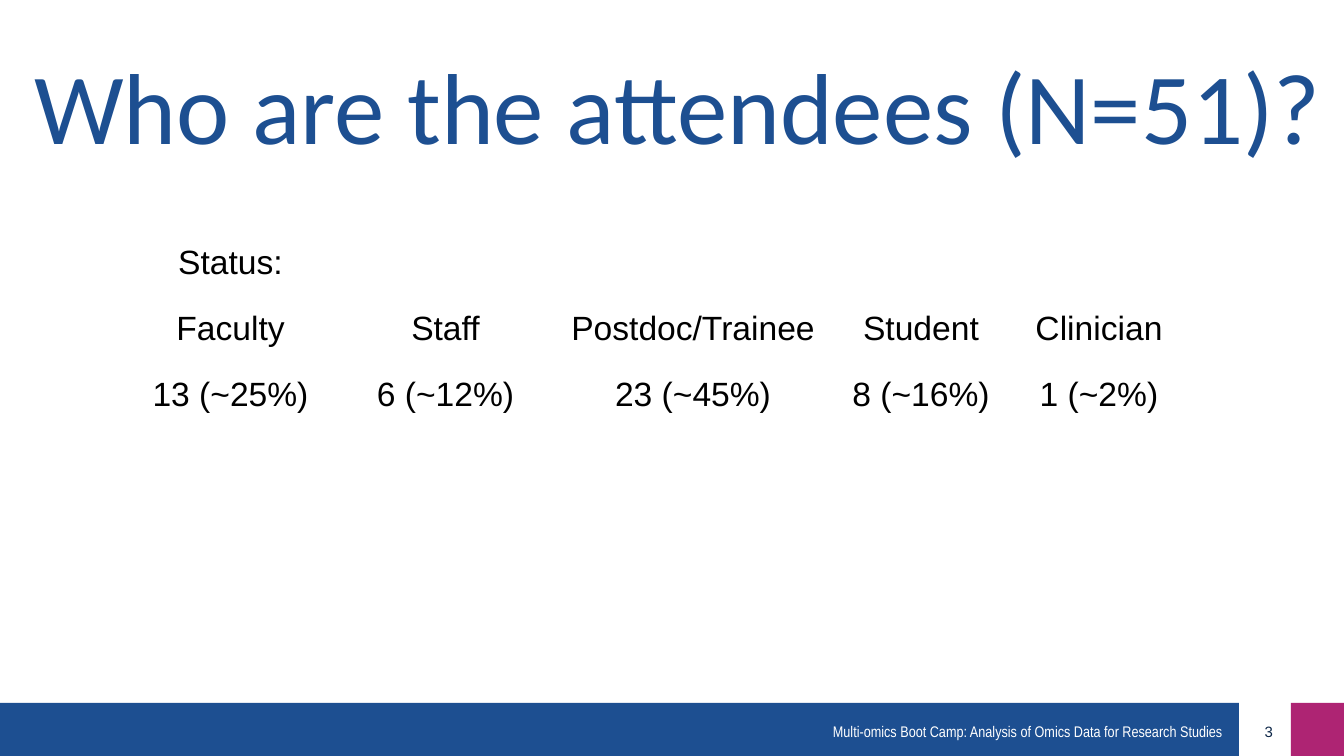
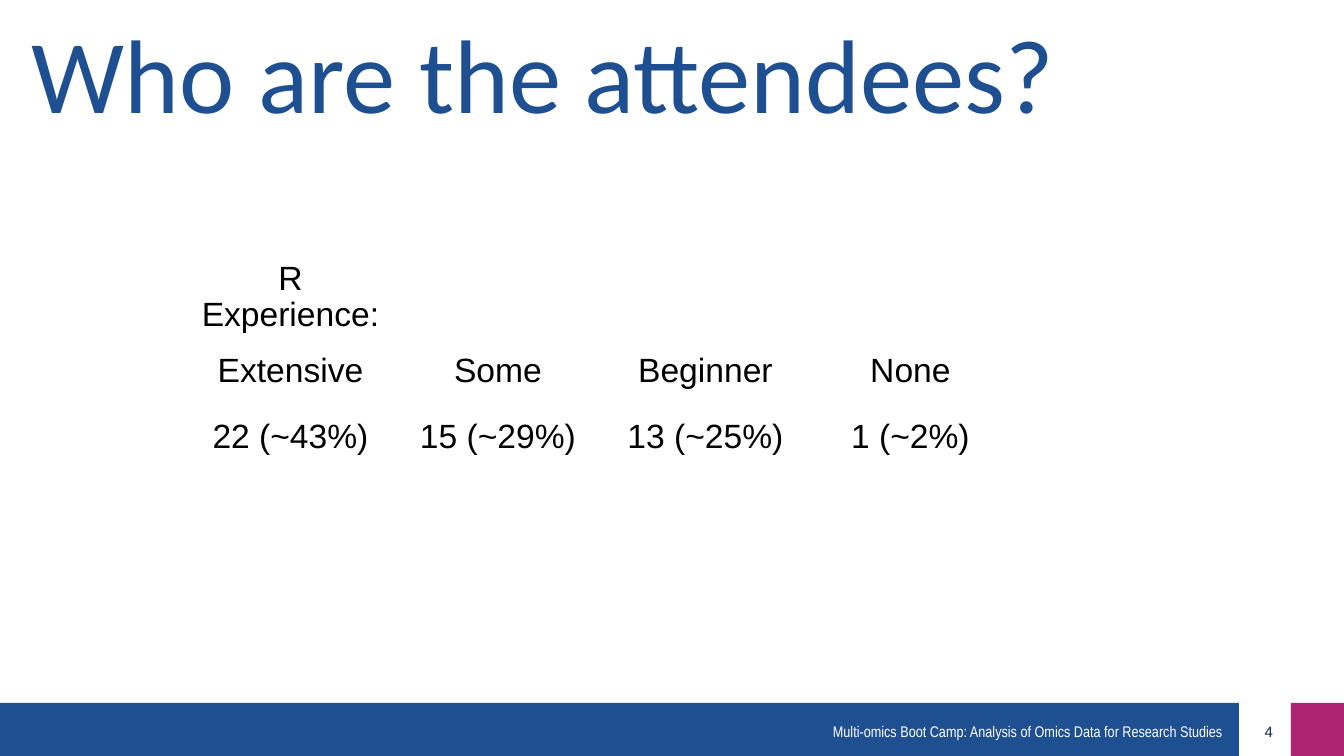
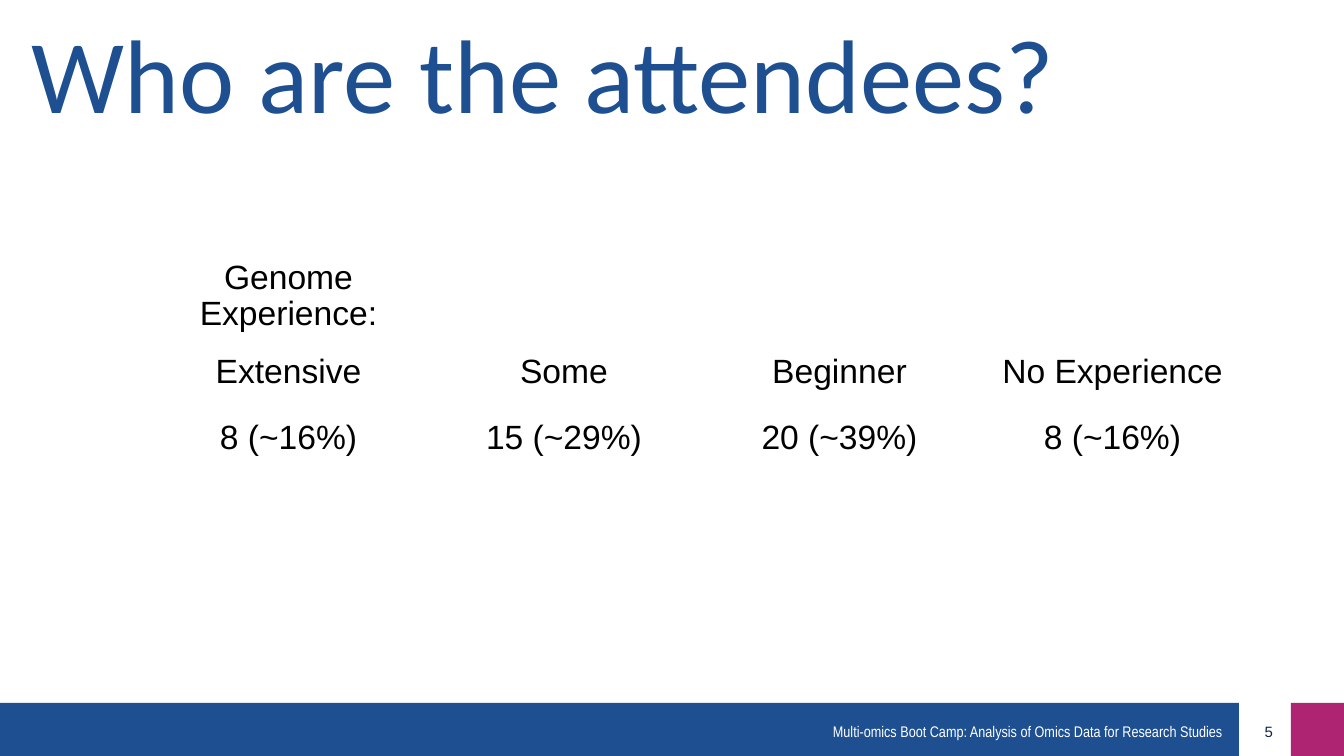
from dataclasses import dataclass

from pptx import Presentation
from pptx.dml.color import RGBColor as RGB
from pptx.enum.shapes import MSO_SHAPE as SHAPE
from pptx.enum.text import MSO_ANCHOR as ANCHOR, MSO_AUTO_SIZE as AUTO, PP_ALIGN as ALIGN
from pptx.util import Emu, Pt

PX_PER_INCH = 100.8
FOOTER = "Multi-omics Boot Camp: Analysis of Omics Data for Research Studies"
NO_STYLE = "{2D5ABB26-0587-4C30-8999-92F81FD0307C}"


def px(n):
    return Emu(round(n * 914400 / PX_PER_INCH))


@dataclass(frozen=True)
class Theme:
    blue: RGB = RGB.from_string("1D4F91")
    magenta: RGB = RGB.from_string("AE2473")
    navy: RGB = RGB.from_string("0E2748")
    white: RGB = RGB.from_string("FFFFFF")
    black: RGB = RGB.from_string("000000")
    title_font: str = "Calibri"
    body_font: str = "Arial"
    footer_font: str = "Arial Narrow"
    body_size: float = 24
    footer_size: float = 11
    number_size: float = 10.7
    table_spacing: float = 0.96


class Deck:
    """Builds the slides in one shared style."""

    def __init__(self, theme):
        self.theme = theme
        self.prs = Presentation()
        self.prs.slide_width, self.prs.slide_height = px(1344), px(756)
        self.slide = None

    def add_slide(self, number, title, title_at, title_size):
        self.slide = self.prs.slides.add_slide(self.prs.slide_layouts[5])
        t = self.theme
        self.band(0, 1239, t.blue)
        self.band(1291, 53, t.magenta)
        self.text(str(number), (1238, 716, 48, 31), (13, 7),
                  (t.body_font, t.number_size, t.navy), ALIGN.RIGHT)
        self.text(FOOTER, (823, 717, 412, 29), (10, 5),
                  (t.footer_font, t.footer_size, t.white))
        self.title(title, title_at, title_size)

    def band(self, left, width, color):
        sp = self.slide.shapes.add_shape(SHAPE.RECTANGLE, px(left), px(703), px(width), px(53))
        sp.shadow.inherit = False
        sp.fill.solid()
        sp.fill.fore_color.rgb = color
        sp.line.fill.background()

    def run(self, p, text, style, align=ALIGN.LEFT):
        p.alignment = align
        r = p.add_run()
        r.text = text
        r.font.name, size, r.font.color.rgb = style
        r.font.size = Pt(size)

    def margins(self, box, x, y):
        box.margin_left = box.margin_right = px(x)
        box.margin_top = box.margin_bottom = px(y)

    def text(self, text, at, inset, style, align=ALIGN.LEFT):
        tf = self.slide.shapes.add_textbox(*map(px, at)).text_frame
        tf.word_wrap = True
        self.margins(tf, *inset)
        self.run(tf.paragraphs[0], text, style, align)

    def title(self, text, at, size):
        sp = self.slide.shapes.title
        sp.left, sp.top, sp.width, sp.height = map(px, (*at, 1613, 168))
        tf = sp.text_frame
        tf.auto_size = AUTO.NONE
        tf.word_wrap = True
        tf.vertical_anchor = ANCHOR.TOP
        self.margins(tf, 0, 0)
        self.run(tf.paragraphs[0], text, (self.theme.title_font, size, self.theme.blue))

    def table(self, at, widths, heights, heading, counts):
        t = self.theme
        rows = [[heading], list(counts), list(counts.values())]
        frame = self.slide.shapes.add_table(
            len(rows), len(widths), *map(px, (*at, sum(widths), sum(heights))))
        table = frame.table
        table.first_row = table.horz_banding = False
        table._tbl.tblPr.find("{*}tableStyleId").text = NO_STYLE
        for column, width in zip(table.columns, widths):
            column.width = px(width)
        for row, height in zip(table.rows, heights):
            row.height = px(height)
        for cell in table.iter_cells():
            cell.fill.background()
            self.margins(cell, 13, 7)
        for i, row in enumerate(rows):
            for j, text in enumerate(row):
                p = table.cell(i, j).text_frame.paragraphs[0]
                p.line_spacing = t.table_spacing
                self.run(p, text, (t.body_font, t.body_size, t.black), ALIGN.CENTER)


def main():
    deck = Deck(Theme())

    deck.add_slide(3, "Who are the attendees (N=51)?", (34, 44), 72)
    deck.table((124, 239), (213, 217, 278, 178, 178), (66, 66, 57), "Status:", {
        "Faculty": "13 (~25%)", "Staff": "6 (~12%)", "Postdoc/Trainee": "23 (~45%)",
        "Student": "8 (~16%)", "Clinician": "1 (~2%)"})

    deck.add_slide(4, "Who are the attendees?", (32, 9), 74.7)
    deck.table((188, 255), (205, 210, 205, 205), (88, 66, 57), "R Experience:", {
        "Extensive": "22 (~43%)", "Some": "15 (~29%)", "Beginner": "13 (~25%)",
        "None": "1 (~2%)"})

    deck.add_slide(5, "Who are the attendees?", (32, 9), 74.7)
    deck.table((152, 254), (273, 278, 273, 273), (94, 66, 57), "Genome Experience:", {
        "Extensive": "8 (~16%)", "Some": "15 (~29%)", "Beginner": "20 (~39%)",
        "No Experience": "8 (~16%)"})

    deck.prs.save("out.pptx")


if __name__ == "__main__":
    main()
